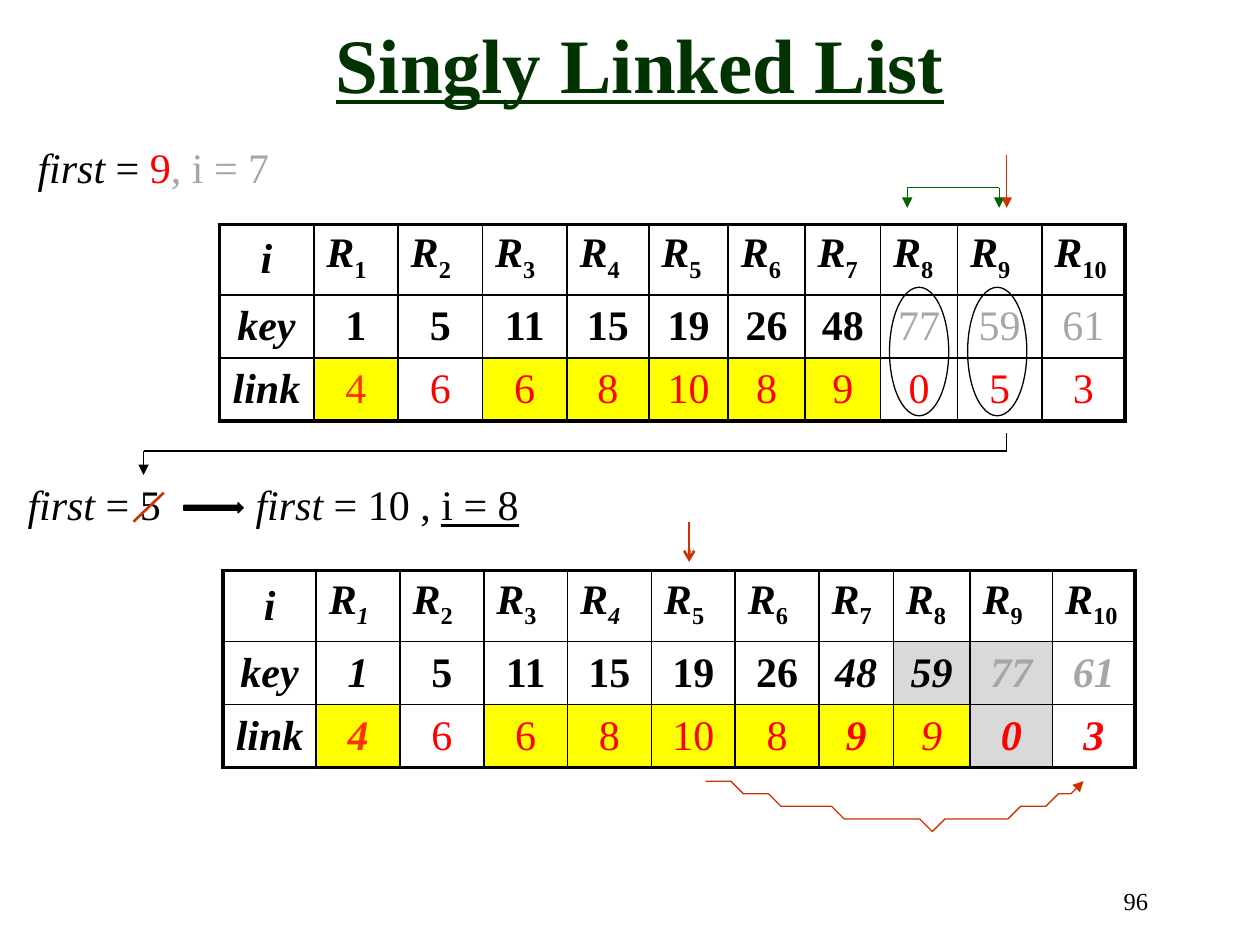
from lxml.etree import SubElement
from pptx import Presentation
from pptx.dml.color import RGBColor
from pptx.enum.shapes import MSO_CONNECTOR as Connector, MSO_SHAPE as Shape
from pptx.enum.text import MSO_ANCHOR as Anchor, PP_ALIGN as Align
from pptx.oxml.ns import qn
from pptx.util import Inches, Pt

CELL = Inches(0.1)
COLUMNS, ROWS = 100, 75
FONT = "Times New Roman"
COLORS = {
    "black": "000000", "grey": "A6A6A6", "red": "FF0000", "orange": "FF3300",
    "rust": "CC3300", "green": "006600", "forest": "003300",
    "on-yellow": "FFFF00", "on-silver": "D9D9D9",
}
BEFORE_HEADER = [f"{number}" for number in range(1, 11)]
BEFORE_KEYS = ("1 bold, 5 bold, 11 bold, 15 bold, 19 bold, 26 bold, 48 bold, "
               "77 grey, 59 grey, 61 grey")
BEFORE_LINKS = ("4 orange on-yellow, 6 red, 6 red on-yellow, 8 red on-yellow, "
                "10 red on-yellow, 8 red on-yellow, 9 red on-yellow, 0 red, 5 red, 3 red")
AFTER_HEADER = [f"{number} italic" if number in (1, 4) else f"{number}" for number in range(1, 11)]
AFTER_KEYS = ("1 bold italic, 5 bold, 11 bold, 15 bold, 19 bold, 26 bold, 48 bold italic, "
              "59 bold italic on-silver, 77 bold italic grey on-silver, 61 bold italic grey")
AFTER_LINKS = ("4 bold italic orange on-yellow, 6 red, 6 red on-yellow, 8 red on-yellow, "
               "10 red on-yellow, 8 red on-yellow, 9 bold italic red on-yellow, "
               "9 italic red on-yellow, 0 bold italic red on-silver, 3 bold italic red")


def grid(*lengths):
    """Turn grid columns or rows into slide lengths."""
    return [round(length * CELL) for length in lengths]


def color(name):
    """Look up a named colour."""
    return RGBColor.from_string(COLORS[name])


def set_font(font, words, size=None):
    """Apply style words, and the typeface when a size is given."""
    if size:
        font.name, font.size = FONT, Pt(size)
        font.color.rgb = color("black")
    for word in words.split():
        if word in ("bold", "italic", "underline"):
            setattr(font, word, True)
        elif word == "subscript":
            font._element.set("baseline", "-25000")
        elif not word.startswith("on-"):
            font.color.rgb = color(word)


def write(paragraph, runs, size=24, words="", align=Align.LEFT):
    """Fill a paragraph with (text, style words) runs."""
    paragraph.alignment = align
    set_font(paragraph.font, words, size)
    for text, run_words in runs:
        run = paragraph.add_run()
        run.text = text
        set_font(run.font, run_words)


def add_text(slide, box, runs, wrap=True, anchor=Anchor.TOP, **style):
    """Add a text box on the grid."""
    frame = slide.shapes.add_textbox(*grid(*box)).text_frame
    frame.word_wrap, frame.vertical_anchor = wrap, anchor
    write(frame.paragraphs[0], runs, **style)


def set_borders(cell, row, column, last_row, last_column):
    """Draw thin inner and thick outer cell borders."""
    outer = {"L": column == 0, "R": column == last_column, "T": row == 0, "B": row == last_row}
    for side, is_outer in outer.items():
        line = SubElement(cell._tc.get_or_add_tcPr(), qn(f"a:ln{side}"),
                          w=str(Pt(2.25 if is_outer else 1)))
        fill = SubElement(line, qn("a:solidFill"))
        SubElement(fill, qn("a:srgbClr"), val=COLORS["black"])


def add_records(slide, origin, widths, header, keys, links):
    """Add a table of records with their keys and links."""
    heights = (5.6, 5, 5)
    table = slide.shapes.add_table(3, len(widths), *grid(*origin, sum(widths), sum(heights))).table
    table.first_row = table.horz_banding = False
    for column, width in zip(table.columns, grid(*widths)):
        column.width = width
    for row, height in zip(table.rows, grid(*heights)):
        row.height = height
    contents = [["i bold italic"] + header,
                ["key bold italic"] + keys.split(", "),
                ["link bold italic"] + links.split(", ")]
    for row, entries in enumerate(contents):
        for column, entry in enumerate(entries):
            cell = table.cell(row, column)
            set_borders(cell, row, column, 2, len(widths) - 1)
            text, _, words = entry.partition(" ")
            fills = [word for word in words.split() if word.startswith("on-")]
            if fills:
                cell.fill.solid()
                cell.fill.fore_color.rgb = color(fills[0])
            else:
                cell.fill.background()
            paragraph = cell.text_frame.paragraphs[0]
            if row == 0 and column:
                write(paragraph, [("R", "italic"), (text, words + " subscript")], words="bold")
            else:
                cell.vertical_anchor = Anchor.MIDDLE
                write(paragraph, [(text, "")], words=words, align=Align.CENTER)


def style_line(shape, name, width=0.75, head=None):
    """Colour a line and put an arrowhead at its end."""
    shape.line.color.rgb, shape.line.width = color(name), Pt(width)
    if head:
        SubElement(shape.line._get_or_add_ln(), qn("a:tailEnd"), type=head)


def add_line(shapes, start, end, name, width=0.75, head=None):
    """Add a straight line between two grid points."""
    connector = shapes.add_connector(Connector.STRAIGHT, *grid(*start, *end))
    SubElement(connector._element.spPr, qn("a:effectLst"))
    style_line(connector, name, width, head)


def add_bracket(slide, start, end, level, name, start_head=None):
    """Join two points by a grouped line at one level, with an arrow to the end."""
    shapes = slide.shapes.add_group_shape().shapes
    corners = (start[0], level), (end[0], level)
    add_line(shapes, corners[0], start, name, head=start_head)
    add_line(shapes, *corners, name)
    add_line(shapes, corners[1], end, name, head="triangle")


def add_shape(slide, kind, box, fill=None):
    """Add a preset shape with a thin black outline."""
    shape = slide.shapes.add_shape(kind, *grid(*box))
    shape.shadow.inherit = False
    style_line(shape, "black")
    if fill:
        shape.fill.solid()
        shape.fill.fore_color.rgb = color(fill)
    else:
        shape.fill.background()


def bezier(points, steps=16):
    """List the points along a cubic curve after its start."""
    weights = [((1 - t) ** 3, 3 * t * (1 - t) ** 2, 3 * t * t * (1 - t), t ** 3)
               for t in (step / steps for step in range(1, steps + 1))]
    return [tuple(sum(w * p[axis] for w, p in zip(weight, points)) for axis in (0, 1))
            for weight in weights]


def add_curve(slide, *curves):
    """Add an arrow along joined cubic curves."""
    builder = slide.shapes.build_freeform(*curves[0][0], scale=CELL)
    builder.add_line_segments([point for curve in curves for point in bezier(curve)], close=False)
    shape = builder.convert_to_shape()
    shape.shadow.inherit = False
    shape.fill.background()
    style_line(shape, "rust", head="triangle")


def main():
    """Build the linked list slide."""
    presentation = Presentation()
    presentation.slide_width, presentation.slide_height = grid(COLUMNS, ROWS)
    slide = presentation.slides.add_slide(presentation.slide_layouts[6])

    add_text(slide, (14.6, 0, 72.4, 10), [("Singly Linked List", "")], anchor=Anchor.MIDDLE,
             size=44, words="bold underline forest", align=Align.CENTER)
    add_text(slide, (71.3, 69.8, 20.8, 5), [("96", "")], size=14, align=Align.RIGHT)
    add_text(slide, (2, 10.7, 20.6, 5.1),
             [("first ", "italic"), ("= ", ""), ("9", "red"), (", i = 7", "grey")], wrap=False)
    add_text(slide, (1.2, 37.5, 14.2, 5.1), [("first", "italic"), (" = 5", "")])
    add_text(slide, (19.3, 37.5, 26.8, 5.1),
             [("first", "italic"), (" = 10 , ", ""), ("i = 8", "underline")])

    add_records(slide, (17.4, 17.8), (7.5, 6.7, 6.7, 6.7, 6.5, 6.3, 6.1, 6, 6.1, 6.7, 6.6),
                BEFORE_HEADER, BEFORE_KEYS, BEFORE_LINKS)
    add_records(slide, (17.7, 45.3), (7.4, 6.65, 6.65, 6.65, 6.65, 6.65, 6.65, 5.9, 6.1, 6.55, 6.55),
                AFTER_HEADER, AFTER_KEYS, AFTER_LINKS)

    add_bracket(slide, (72, 16.5), (79.3, 16.5), 14.9, "green", start_head="triangle")
    add_line(slide.shapes, (79.9, 12.3), (79.9, 16.5), "rust", head="triangle")
    for left in (70.6, 76.8):
        add_shape(slide, Shape.OVAL, (left, 22.8, 4.7, 10.2))
    add_bracket(slide, (79.9, 34.4), (11.4, 37.7), 35.8, "black")
    add_line(slide.shapes, (54.7, 41.4), (54.7, 44.6), "rust", 1.5, "arrow")
    add_line(slide.shapes, (10.6, 41.4), (13, 39.1), "rust", 1.5)
    add_shape(slide, Shape.RIGHT_ARROW, (14.6, 39.9, 4.7, 0.8), "black")
    add_curve(slide, ((56.3, 61.9), (62.8, 63.7), (69.3, 65.5), (74.3, 65.5)),
              ((74.3, 65.5), (79.3, 65.5), (82.8, 63.7), (86.2, 61.9)))
    presentation.save("out.pptx")


if __name__ == "__main__":
    main()
